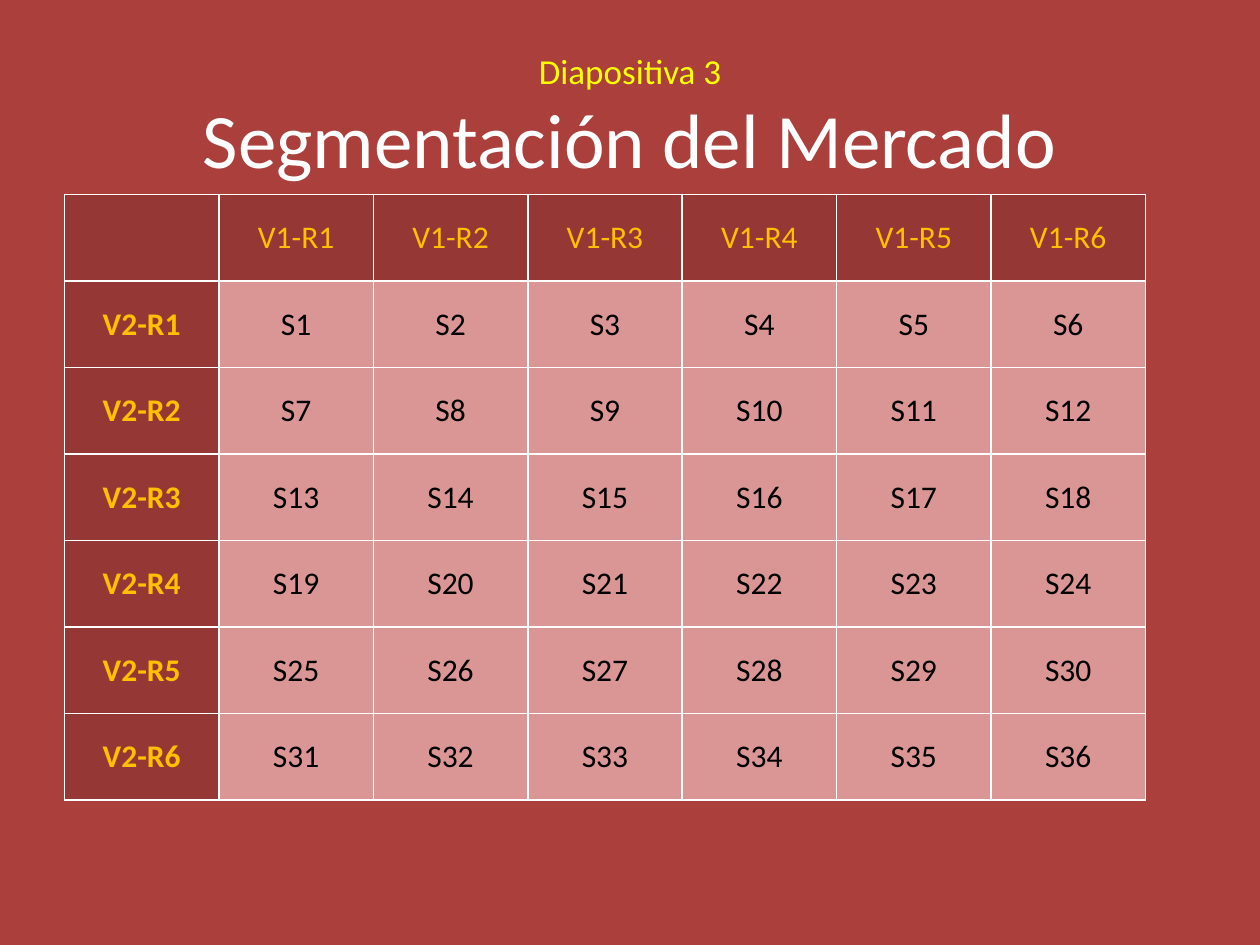
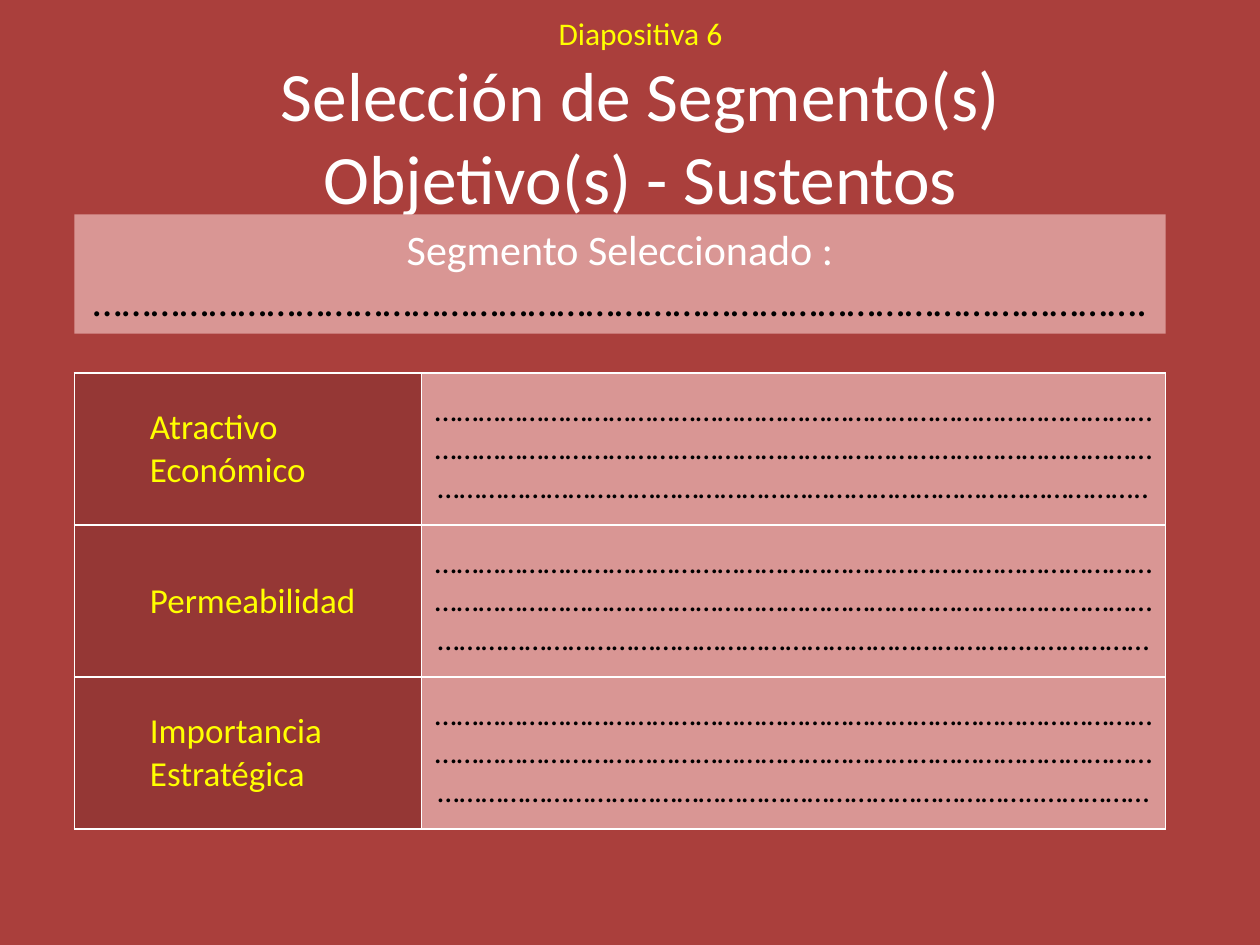
import dataclasses

import lxml.etree
import pptx
import pptx.dml.color
import pptx.enum.shapes
import pptx.enum.text
import pptx.oxml.ns
import pptx.util

Pt = pptx.util.Pt
ALIGN = pptx.enum.text.PP_ALIGN
MIDDLE = pptx.enum.text.MSO_ANCHOR.MIDDLE


@dataclasses.dataclass(frozen=True)
class Theme:
    font: str = "Calibri"
    background: str = "AA3F3C"
    dark: str = "953735"
    light: str = "D99694"
    white: str = "FFFFFF"
    black: str = "000000"
    yellow: str = "FFFF00"
    gold: str = "FFC000"
    body_size: float = 18
    label_size: float = 20
    band_size: float = 24
    border: float = 1


THEME = Theme()
ELLIPSIS = "…"


def rgb(color):
    return pptx.dml.color.RGBColor.from_string(color)


def add_run(p, text, size, color, bold=False):
    r = p.add_run()
    r.text = text
    r.font.name = THEME.font
    r.font.size = Pt(size)
    r.font.bold = bold
    r.font.color.rgb = rgb(color)


def add_two_lines(tf, first, second):
    """Centre two runs, split by a line break; each is (text, size, color)."""
    tf.word_wrap = True
    tf.vertical_anchor = MIDDLE
    p = tf.paragraphs[0]
    p.alignment = ALIGN.CENTER
    add_run(p, *first)
    p.add_line_break()
    add_run(p, *second)


def add_titled_slide(prs, box, tag, tag_size, title, title_size):
    s = prs.slides.add_slide(prs.slide_layouts[5])
    sp = s.shapes.title
    sp.left, sp.top, sp.width, sp.height = (Pt(v) for v in box)
    sp.text_frame.auto_size = pptx.enum.text.MSO_AUTO_SIZE.NONE
    add_two_lines(sp.text_frame, (tag, tag_size, THEME.yellow),
                  (title, title_size, THEME.white))
    return s


def add_band(s, box, heading, blank_line):
    sp = s.shapes.add_shape(pptx.enum.shapes.MSO_SHAPE.RECTANGLE,
                            *(Pt(v) for v in box))
    sp.shadow.inherit = False
    sp.fill.solid()
    sp.fill.fore_color.rgb = rgb(THEME.light)
    sp.line.fill.background()
    add_two_lines(sp.text_frame, (heading, THEME.band_size, THEME.white),
                  (blank_line, THEME.band_size, THEME.black))


def add_grid(s, left, top, col_widths, row_height, n_rows):
    """Add a plain table without the style's header and banding."""
    frame = s.shapes.add_table(n_rows, len(col_widths), Pt(left), Pt(top),
                               Pt(sum(col_widths)), Pt(row_height * n_rows))
    table = frame.table
    table.first_row = table.horz_banding = False
    for column, width in zip(table.columns, col_widths):
        column.width = Pt(width)
    for row in table.rows:
        row.height = Pt(row_height)
    return table


def set_borders(cell):
    tc_pr = cell._tc.get_or_add_tcPr()
    qn = pptx.oxml.ns.qn
    for i, side in enumerate(("a:lnL", "a:lnR", "a:lnT", "a:lnB")):
        ln = lxml.etree.Element(qn(side), w=str(Pt(THEME.border)))
        fill = lxml.etree.SubElement(ln, qn("a:solidFill"))
        lxml.etree.SubElement(fill, qn("a:srgbClr"), val=THEME.white)
        tc_pr.insert(i, ln)  # borders come before the fill


def fill_cell(cell, text, fill, color, size=THEME.body_size, bold=False,
              indent=0):
    cell.fill.solid()
    cell.fill.fore_color.rgb = rgb(fill)
    cell.vertical_anchor = MIDDLE
    set_borders(cell)
    p = cell.text_frame.paragraphs[0]
    if indent:
        p.level = 1
        p_pr = p._p.get_or_add_pPr()
        p_pr.set("marL", str(Pt(indent)))
        p_pr.set("indent", "0")
    else:
        p.alignment = ALIGN.CENTER
    if text:
        add_run(p, text, size, color, bold)


def build_segmentation(prs):
    s = add_titled_slide(prs, (36, 21.6, 648, 90), "Diapositiva 3", 20,
                         "Segmentación del Mercado", 44)
    n = 6  # answers for each of the two variables
    table = add_grid(s, 36.85, 111.3, [88.25] * (n + 1), 49.43, n + 1)
    fill_cell(table.cell(0, 0), "", THEME.dark, THEME.gold)
    for i in range(1, n + 1):
        fill_cell(table.cell(0, i), f"V1-R{i}", THEME.dark, THEME.gold)
        fill_cell(table.cell(i, 0), f"V2-R{i}", THEME.dark, THEME.gold,
                  bold=True)
        for j in range(1, n + 1):
            fill_cell(table.cell(i, j), f"S{(i - 1) * n + j}", THEME.light,
                      THEME.black)


def build_selection(prs):
    s = add_titled_slide(prs, (76.5, 21.6, 579, 90), "Diapositiva 6", 18,
                         "Selección de Segmento(s) Objetivo(s) - Sustentos",
                         39.6)
    # Criteria, each with dotted lines to write on
    dotted = ELLIPSIS * 93 + ".." + ELLIPSIS * 5
    criteria = [
        ("Atractivo Económico", ELLIPSIS * 98 + ".."),
        ("Permeabilidad", dotted),
        ("Importancia Estratégica", dotted),
    ]
    left = 42.5
    col_widths = [198.4, 425.2]
    table = add_grid(s, left, 213.2, col_widths, 86.9, len(criteria))
    for i, (criterion, answer) in enumerate(criteria):
        fill_cell(table.cell(i, 0), criterion, THEME.dark, THEME.yellow,
                  THEME.label_size, indent=36)
        fill_cell(table.cell(i, 1), answer, THEME.light, THEME.black)
    # Chosen segment
    add_band(s, (left, 122.5, sum(col_widths), 68.2),
             "Segmento Seleccionado :", ELLIPSIS * 36 + ".")


def main():
    prs = pptx.Presentation()
    prs.slide_width, prs.slide_height = Pt(720), Pt(540)
    # Background shared by every slide
    fill = prs.slide_master.background.fill
    fill.solid()
    fill.fore_color.rgb = rgb(THEME.background)
    build_segmentation(prs)
    build_selection(prs)
    prs.save("out.pptx")


if __name__ == "__main__":
    main()
